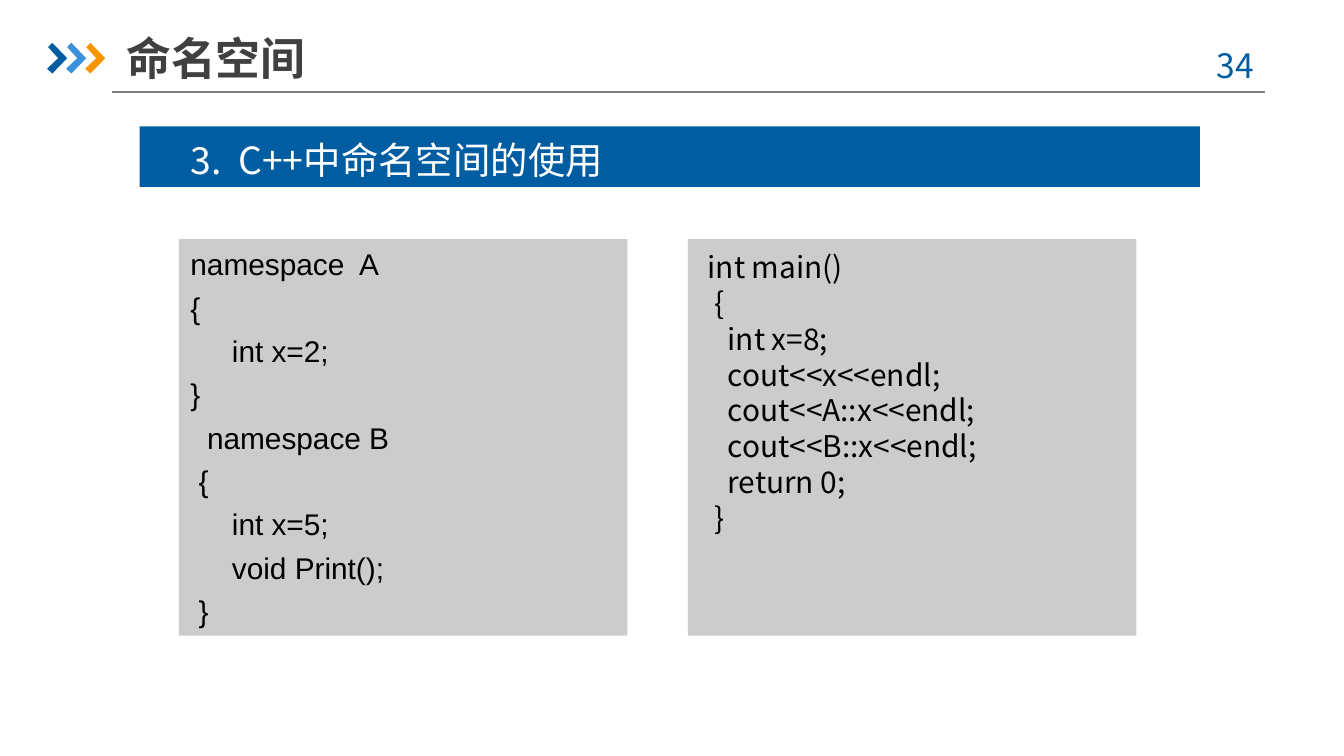
import pptx
import pptx.util
import pptx.dml.color
import pptx.enum.shapes
import pptx.enum.text
import pptx.oxml

Cm, Pt = pptx.util.Cm, pptx.util.Pt
RGBColor = pptx.dml.color.RGBColor
ANCHOR = pptx.enum.text.MSO_ANCHOR
ALIGN = pptx.enum.text.PP_ALIGN

BLUE = RGBColor(0x00, 0x5D, 0xA2)
SKY = RGBColor(0x39, 0x92, 0xDB)
ORANGE = RGBColor(0xF7, 0x96, 0x00)
PANEL_GREY = RGBColor(0xCC, 0xCC, 0xCC)
RULE_GREY = RGBColor(0x80, 0x80, 0x80)
TITLE_GREY = RGBColor(0x40, 0x40, 0x40)
BLACK = RGBColor(0, 0, 0)
WHITE = RGBColor(0xFF, 0xFF, 0xFF)
SANS, ARIAL = "Noto Sans CJK SC", "Arial"

TITLE = "命名空间"
PAGE_NUMBER = "34"
HEADING = "3.  C++中命名空间的使用"
# Each code line: indent in space widths, text
NAMESPACES = [
    (0, "namespace  A"), (0, "{"), (5, "int x=2;"), (0, "}"),
    (2, "namespace B"), (1, "{"), (5, "int x=5;"), (5, "void Print();"), (1, "}"),
]
MAIN = [
    (1, "int main()"), (2, "{"), (4, "int x=8;"), (4, "cout<<x<<endl;"),
    (4, "cout<<A::x<<endl;"), (4, "cout<<B::x<<endl;"), (4, "return 0;"), (2, "}"),
]
SPACE_WIDTH = {ARIAL: 0.157, SANS: 0.126}  # cm at 16 pt

CHEVRON = [(0.02, 0.08), (0.1, 0), (0.38, 0.29), (0.1, 0.58), (0, 0.49), (0.21, 0.29)]
CHEVRON_LEFT, CHEVRON_TOP, CHEVRON_STEP = 0.89, 0.81, 0.36
PANEL_TOP, PANEL_WIDTH, PANEL_HEIGHT = 4.52, 8.48, 7.49


def paint(shape, color):
    shape.fill.solid()
    shape.fill.fore_color.rgb = color
    shape.line.fill.background()
    shape.shadow.inherit = False


def add_block(left, top, width, height, color):
    block = page.shapes.add_shape(pptx.enum.shapes.MSO_SHAPE.RECTANGLE,
                                  Cm(left), Cm(top), Cm(width), Cm(height))
    paint(block, color)


def add_text(left, top, width, height, lines, size, color, font=SANS, bold=False,
             align=ALIGN.LEFT, inset=(0.25, 0.13), anchor=ANCHOR.TOP,
             spacing=None, before=0, wrap=True):
    """Write (indent, text) lines, one paragraph each."""
    box = page.shapes.add_textbox(Cm(left), Cm(top), Cm(width), Cm(height))
    frame = box.text_frame
    frame.word_wrap = wrap
    frame.vertical_anchor = anchor
    frame.margin_left = frame.margin_right = Cm(inset[0])
    frame.margin_top = frame.margin_bottom = Cm(inset[1])
    for number, (indent, text) in enumerate(lines):
        para = frame.add_paragraph() if number else frame.paragraphs[0]
        para.alignment = align
        para.space_before = Pt(before)
        if spacing:
            para.line_spacing = Pt(spacing * size)
        if indent:
            para._p.get_or_add_pPr().set("marL", str(Cm(indent * SPACE_WIDTH[font])))
        span = para.add_run()
        span.text = text
        span.font.size = Pt(size)
        span.font.bold = bold
        span.font.color.rgb = color
        span.font.name = font
        properties = span._r.get_or_add_rPr()
        east_asian = pptx.oxml.parse_xml(
            '<a:ea xmlns:a="http://schemas.openxmlformats.org/drawingml/2006/main"/>')
        east_asian.set("typeface", font)
        properties.append(east_asian)


deck = pptx.Presentation()
deck.slide_width, deck.slide_height = Cm(25.4), Cm(14.28)
page = deck.slides.add_slide(deck.slide_layouts[6])

# Header
rule = page.shapes.add_connector(pptx.enum.shapes.MSO_CONNECTOR.STRAIGHT,
                                 Cm(2.11), Cm(1.74), Cm(23.9), Cm(1.74))
rule.line.color.rgb = RULE_GREY
rule.line.width = Pt(0.75)
rule._element.spPr.append(pptx.oxml.parse_xml(
    '<a:effectLst xmlns:a="http://schemas.openxmlformats.org/drawingml/2006/main"/>'))

for number, color in enumerate((BLUE, SKY, ORANGE)):
    left = CHEVRON_LEFT + number * CHEVRON_STEP
    corners = [(Cm(left + x), Cm(CHEVRON_TOP + y)) for x, y in CHEVRON]
    outline = page.shapes.build_freeform(*corners[0])
    outline.add_line_segments(corners[1:], close=True)
    paint(outline.convert_to_shape(), color)

add_text(22.42, 0.66, 1.85, 1.02, [(0, PAGE_NUMBER)], 18, BLUE,
         align=ALIGN.CENTER, inset=(0.25, 0.18), spacing=1.2)
add_text(2.39, 0.56, 11.91, 1.07, [(0, TITLE)], 24, TITLE_GREY, bold=True,
         inset=(0, 0.13), anchor=ANCHOR.MIDDLE)

# Heading bar
add_block(2.64, 2.39, 20.04, 1.14, BLUE)
add_text(3.35, 2.41, 9.32, 1.12, [(0, HEADING)], 20, WHITE,
         inset=(0.25, 0.18), spacing=1.2)

# Code panels
for left in (3.38, 13.0):
    add_block(left, PANEL_TOP, PANEL_WIDTH, PANEL_HEIGHT, PANEL_GREY)
add_text(3.35, PANEL_TOP, 8.36, 7.52, NAMESPACES, 16, BLACK, ARIAL,
         before=4, wrap=False)
add_text(13.0, PANEL_TOP, 6.32, 5.72, MAIN, 16, BLACK,
         inset=(0.25, 0.18), spacing=1.2, wrap=False)

deck.save("out.pptx")
